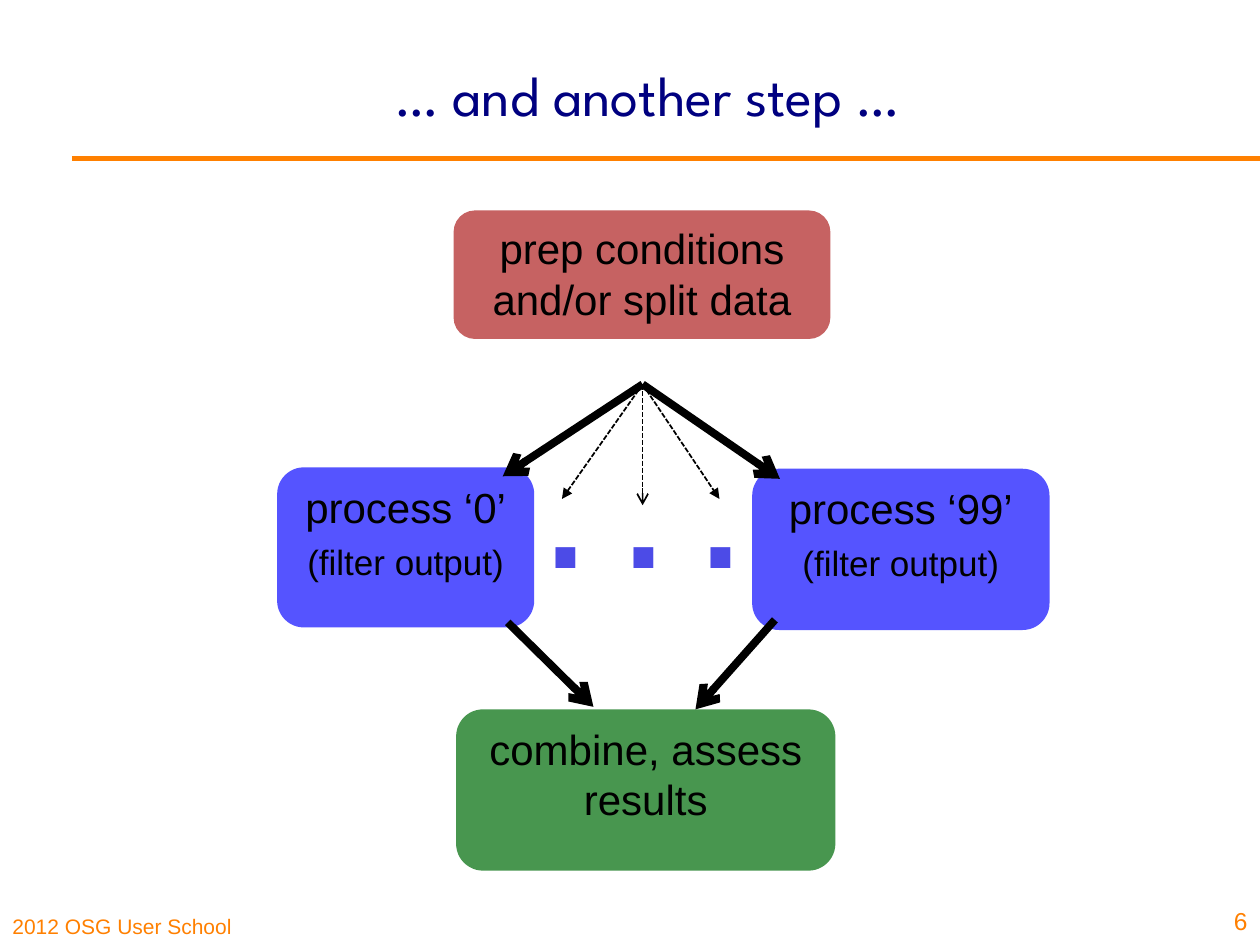
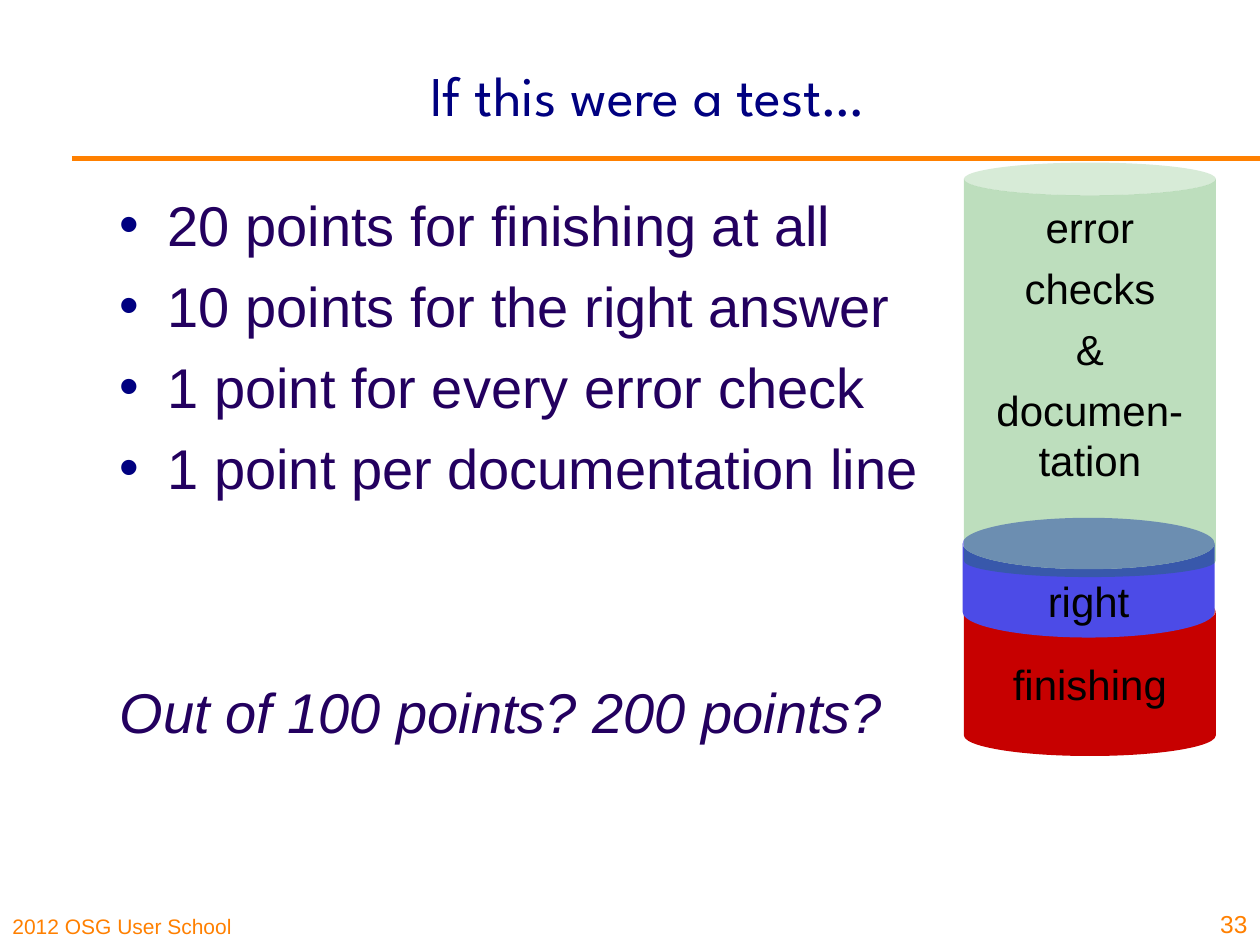
from lxml import etree
from pptx import Presentation
from pptx import util as u
from pptx.dml.color import RGBColor
from pptx.enum import dml, shapes, text
from pptx.oxml.ns import qn

NAVY, ORANGE, BLACK, VIOLET = "000080", "FF8000", "000000", "23005F"
BLUE, ROSE, GREEN = "5554FF", "C66262", "48964F"
DOT_BLUE, RED, CLEAR_GREEN = "4C4BE7", "C70000", "008000"
LEFT, CENTER, RIGHT = text.PP_ALIGN.LEFT, text.PP_ALIGN.CENTER, text.PP_ALIGN.RIGHT
TOP, MIDDLE, BOTTOM = (
    text.MSO_ANCHOR.TOP, text.MSO_ANCHOR.MIDDLE, text.MSO_ANCHOR.BOTTOM)
TITLE_ONLY, TITLE_AND_BODY = 5, 1
ROUNDED, CAN = shapes.MSO_SHAPE.ROUNDED_RECTANGLE, shapes.MSO_SHAPE.CAN


def color(value):
    return RGBColor.from_string(value)


class Slides:
    title_font, body_font = "League Spartan", "Arial"

    def __init__(self):
        self.deck = Presentation()
        self.deck.slide_width, self.deck.slide_height = u.Inches(10), u.Inches(7.5)
        self.page = None

    def new_page(self, layout, title, number, number_top):
        self.page = self.deck.slides.add_slide(self.deck.slide_layouts[layout])
        self.text_box((0, 7.08, 2.48, 0.42), "2012 OSG User School", 12, ORANGE, LEFT)
        self.line((0.57, 1.26), (10, 1.26), 3, ORANGE)
        self.place(self.page.shapes.title, (1.34, 0.12, 7.6, 1.25))
        self.set_text(self.page.shapes.title, [(title, 32)], NAVY, CENTER, MIDDLE,
                      font=self.title_font)
        self.text_box((9.3, number_top, 0.7, 0.5), number, 14, ORANGE, RIGHT)

    def place(self, shape, area):
        shape.left, shape.top, shape.width, shape.height = map(u.Inches, area)

    def set_text(self, shape, lines, ink, align, anchor, gap=0, font=None, bold=False):
        frame = shape.text_frame
        frame.word_wrap = True
        frame.auto_size = text.MSO_AUTO_SIZE.NONE
        frame.vertical_anchor = anchor
        for index, (words, size) in enumerate(lines):
            para = frame.paragraphs[0] if index == 0 else frame.add_paragraph()
            para.text = words
            para.alignment = align
            para.space_before = u.Pt(gap if index else 0)
            para.font.name = font or self.body_font
            para.font.size = u.Pt(size)
            para.font.bold = bold
            para.font.color.rgb = color(ink)

    def text_box(self, area, words, size, ink, align, anchor=BOTTOM, bold=False):
        box = self.page.shapes.add_textbox(*map(u.Inches, area))
        self.set_text(box, [(words, size)], ink, align, anchor, bold=bold)

    def block(self, kind, area, fill, lines, adjust, anchor=TOP, gap=6, alpha=None):
        shape = self.page.shapes.add_shape(kind, *map(u.Inches, area))
        shape.shadow.inherit = False
        shape.adjustments[0] = adjust
        shape.fill.solid()
        shape.fill.fore_color.rgb = color(fill)
        shape.line.fill.background()
        if alpha:
            tint = shape.element.spPr.find(qn("a:solidFill"))[0]
            etree.SubElement(tint, qn("a:alpha"), val=str(alpha * 1000))
        self.set_text(shape, lines, BLACK, CENTER, anchor, gap)

    def line(self, start, end, width, ink=BLACK, head=None, dashed=False):
        line = self.page.shapes.add_connector(
            shapes.MSO_CONNECTOR.STRAIGHT, *map(u.Inches, start + end))
        line.line.color.rgb = color(ink)
        line.line.width = u.Pt(width)
        if dashed:
            line.line.dash_style = dml.MSO_LINE.SQUARE_DOT
        props = line.element.spPr
        if head:
            etree.SubElement(props.find(qn("a:ln")), qn("a:tailEnd"), type=head)
        etree.SubElement(props, qn("a:effectLst"))

    def bullet_list(self, area, items, closing):
        body = self.page.placeholders[1]
        self.place(body, area)
        frame = body.text_frame
        frame.auto_size = text.MSO_AUTO_SIZE.NONE
        for index, words in enumerate(items + [closing]):
            para = frame.paragraphs[0] if index == 0 else frame.add_paragraph()
            para.text = words
            last = words == closing
            props = para._p.get_or_add_pPr()
            props.set("marL", str(u.Inches(0.38)))
            props.set("indent", str(-u.Inches(0.38)))
            if last:
                etree.SubElement(props, qn("a:buNone"))
            else:
                tint = etree.SubElement(props, qn("a:buClr"))
                etree.SubElement(tint, qn("a:srgbClr"), val=NAVY)
                etree.SubElement(props, qn("a:buChar"), char="•")
            para.alignment = LEFT
            para.space_before = u.Pt(101 if last else 8 if index else 0)
            para.font.name = self.body_font
            para.font.size = u.Pt(32)
            para.font.italic = last
            para.font.color.rgb = color(VIOLET)


def build_workflow(slides):
    slides.new_page(TITLE_ONLY, "… and another step …", "6", 6.97)
    steps = [
        ((3.6, 1.67, 2.99, 1.02), ROSE, [("prep conditions and/or split data", 24)]),
        ((2.2, 3.71, 2.04, 1.27), BLUE, [("process ‘0’", 24), ("(filter output)", 20)]),
        ((5.97, 3.72, 2.36, 1.28), BLUE, [("process ‘99’", 24), ("(filter output)", 20)]),
        ((3.62, 5.63, 3.01, 1.28), GREEN, [("combine, assess results", 24)]),
    ]
    for area, fill, lines in steps:
        slides.block(ROUNDED, area, fill, lines, 0.167, gap=5)
    slides.text_box((4.17, 3.35, 1.88, 1.28), ". . .", 80, DOT_BLUE, CENTER, TOP, True)
    fork = (5.1, 3.05)
    for start, end in [(fork, (6.19, 3.8)), (fork, (3.99, 3.78)),
                       ((4.03, 4.94), (4.71, 5.61)), ((6.15, 4.92), (5.52, 5.63))]:
        slides.line(start, end, 4.5, head="arrow")
    for end, head in [((4.46, 3.96), "triangle"), ((5.71, 3.96), "triangle"),
                      ((5.1, 4.01), "arrow")]:
        slides.line(fork, end, 1, head=head, dashed=True)


def build_test(slides):
    slides.new_page(TITLE_AND_BODY, "If this were a test…", "33", 7)
    slides.bullet_list(
        (0.85, 1.46, 8.5, 5.13),
        ["20 points for finishing at all", "10 points for the right answer",
         "1 point for every error check", "1 point per documentation line"],
        "Out of 100 points? 200 points?")
    slides.block(CAN, (7.65, 4.69, 2, 1.31), RED, [("finishing", 24)], 0.25, MIDDLE)
    slides.block(CAN, (7.64, 4.11, 2, 0.95), DOT_BLUE, [("right", 24)], 0.429)
    checks = [(words, 24) for words in ("error", "checks", "&", "documen-tation")]
    slides.block(CAN, (7.65, 1.29, 2, 3.29), CLEAR_GREEN, checks, 0.13, alpha=26)


def main():
    slides = Slides()
    build_workflow(slides)
    build_test(slides)
    slides.deck.save("out.pptx")


if __name__ == "__main__":
    main()
